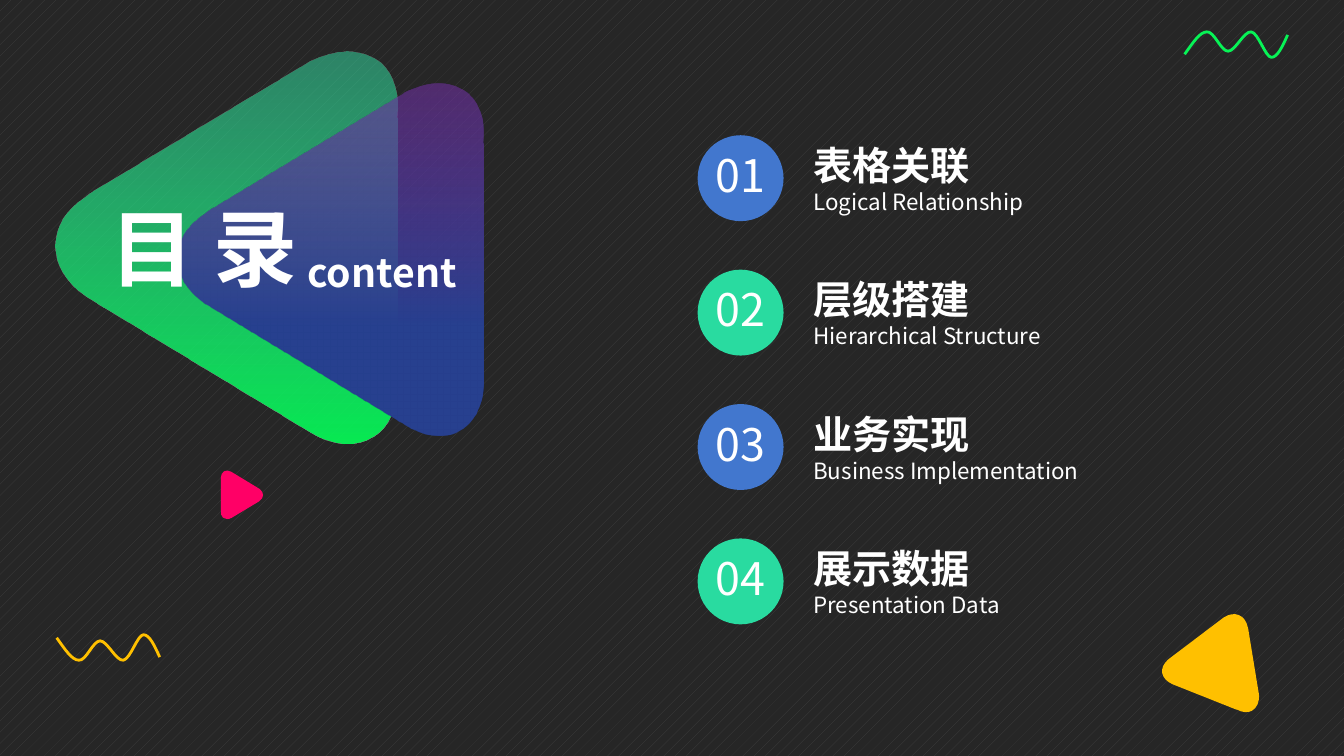
from lxml.etree import SubElement
from pptx import Presentation
from pptx.dml.color import RGBColor
from pptx.enum.dml import MSO_PATTERN
from pptx.enum.shapes import MSO_SHAPE
from pptx.enum.text import MSO_AUTO_SIZE, PP_ALIGN
from pptx.oxml.ns import qn
from pptx.util import Pt

COLORS = {
    "ground": "262626", "stripe": "404040", "white": "FFFFFF",
    "amber": "FFC000", "pink": "FF0066", "lime": "07F356",
    "leaf": "07F757", "teal": "36DEA6", "navy": "27408F", "purple": "7030A0",
    "blue": "4277CE", "mint": "29DBA0",
}
FONT = "Noto Sans CJK SC"

# Each step holds one point for a straight line or three for a Bézier curve.
TRIANGLE_SIZE = (388, 339)
TRIANGLE = [
    [(195, 0)],
    [(176, 0), (159, 11), (146, 29)],
    [(144, 32)], [(11, 252)], [(7, 259)],
    [(-3, 279), (-4, 299), (6, 314)],
    [(16, 330), (35, 338), (58, 339)],
    [(62, 339)], [(321, 339)], [(322, 338)],
    [(344, 341), (364, 335), (376, 322)],
    [(391, 304), (391, 278), (378, 252)],
    [(373, 244)], [(247, 34)], [(243, 29)],
    [(231, 11), (214, 0), (195, 0)],
]
WAVE_SIZE = (102, 25)
WAVE = [
    [(0, 22)],
    [(8, 11), (15, 0), (22, 0)],
    [(29, -1), (36, 19), (43, 19)],
    [(50, 19), (59, -1), (66, 0)],
    [(73, 1), (80, 25), (86, 25)],
    [(92, 25), (97, 14), (102, 3)],
]

SECTIONS = [
    ("表格关联", "Logical Relationship", "blue"),
    ("层级搭建", "Hierarchical Structure", "mint"),
    ("业务实现", "Business Implementation", "blue"),
    ("展示数据", "Presentation Data", "mint"),
]
FIRST_ROW_TOP, ROW_PITCH = 96.6, 96


def color(name):
    return RGBColor.from_string(COLORS[name])


def draw_outline(shape, outline, closed):
    """Give a freeform straight and curved steps in place of its own."""
    node = next(shape.element.iter(qn("a:path")))
    for child in list(node):
        node.remove(child)
    for i, step in enumerate(outline):
        tag = "a:cubicBezTo" if len(step) == 3 else "a:lnTo" if i else "a:moveTo"
        segment = SubElement(node, qn(tag))
        for x, y in step:
            SubElement(segment, qn("a:pt"), x=str(x), y=str(y))
    if closed:
        SubElement(node, qn("a:close"))


def add_text(para, text, size=16, bold=False, tint="white"):
    span = para.add_run()
    span.text = text
    span.font.size = Pt(size)
    span.font.bold = bold
    span.font.name = FONT
    span.font.color.rgb = color(tint)
    SubElement(span._r.get_or_add_rPr(), qn("a:ea"), typeface=FONT)


class ContentsSlide:
    def __init__(self, deck):
        self.page = deck.slides.add_slide(deck.slide_layouts[6])
        fill = self.page.background.fill
        fill.patterned()
        fill.pattern = MSO_PATTERN.PERCENT_10
        fill.fore_color.rgb = color("stripe")
        fill.back_color.rgb = color("ground")

    def freeform(self, outline, size, left, top, width, height, closed=True):
        builder = self.page.shapes.build_freeform(0, 0, scale=Pt(1))
        builder.add_line_segments([size], close=False)
        shape = builder.convert_to_shape()
        draw_outline(shape, outline, closed)
        shape.left, shape.top = Pt(left), Pt(top)
        shape.width, shape.height = Pt(width), Pt(height)
        shape.shadow.inherit = False
        return shape

    def triangle(self, left, top, width, height, rotation, tint=None, stops=()):
        """Stops are (position, colour, opacity percent), from left to right before rotation."""
        shape = self.freeform(TRIANGLE, TRIANGLE_SIZE, left, top, width, height)
        shape.rotation = rotation
        shape.line.fill.background()
        if tint:
            shape.fill.solid()
            shape.fill.fore_color.rgb = color(tint)
            return
        shape.fill.gradient()
        shape.fill.gradient_angle = 0
        for stop, (position, name, _) in zip(shape.fill.gradient_stops, stops):
            stop.position = position
            stop.color.rgb = color(name)
        for node, (_, _, opacity) in zip(shape.element.spPr.iter(qn("a:srgbClr")), stops):
            SubElement(node, qn("a:alpha"), val=str(opacity * 1000))

    def wave(self, left, top, tint, flipped=False):
        outline = WAVE
        if flipped:
            outline = [[(x, WAVE_SIZE[1] - y) for x, y in step] for step in WAVE]
        shape = self.freeform(outline, WAVE_SIZE, left, top, 73.6, 18.2, closed=False)
        shape.fill.background()
        shape.line.color.rgb = color(tint)
        shape.line.width = Pt(2)

    def circle(self, left, top, diameter, tint):
        shape = self.page.shapes.add_shape(
            MSO_SHAPE.OVAL, Pt(left), Pt(top), Pt(diameter), Pt(diameter))
        shape.shadow.inherit = False
        shape.rotation = 45
        shape.fill.solid()
        shape.fill.fore_color.rgb = color(tint)
        shape.line.fill.background()

    def text(self, left, top, width, height, lines, align=PP_ALIGN.LEFT, wrap=True):
        """Lines are (text, format keywords), one paragraph each."""
        box = self.page.shapes.add_textbox(Pt(left), Pt(top), Pt(width), Pt(height))
        frame = box.text_frame
        frame.word_wrap = wrap
        frame.auto_size = MSO_AUTO_SIZE.SHAPE_TO_FIT_TEXT
        for i, (text, style) in enumerate(lines):
            para = frame.add_paragraph() if i else frame.paragraphs[0]
            para.alignment = align
            add_text(para, text, **style)

    def section(self, number, top, title, subtitle, tint):
        self.text(573.9, top + 0.7, 211.7, 60.5,
                  [(title, {"size": 28, "bold": True}), (subtitle, {"size": 16})])
        self.circle(498.3, top, 61.4, tint)
        self.text(496.1, top + 5.4, 65.5, 46, [(f"{number:02}", {"size": 32})], PP_ALIGN.CENTER)


def main():
    deck = Presentation()
    deck.slide_width, deck.slide_height = Pt(960), Pt(540)
    slide = ContentsSlide(deck)

    slide.triangle(836.6, 437, 72.7, 63.4, 21.7, "amber")
    slide.triangle(155.5, 338.4, 34.6, 30.2, 90, "pink")
    slide.wave(846.2, 22.8, "lime")
    slide.wave(40.5, 453.4, "amber", flipped=True)
    slide.triangle(22.1, 54.1, 279.4, 244.1, 270,
                   stops=[(0, "leaf", 94), (1, "teal", 51)])
    slide.triangle(110.9, 75.6, 250.6, 218.9, 270,
                   stops=[(0.31, "navy", 100), (1, "purple", 58)])

    slide.text(68.4, 136.8, 154.1, 79.9, [("目 录", {"size": 60, "bold": True})],
               PP_ALIGN.CENTER, wrap=False)
    slide.text(211, 173.5, 123.8, 41, [("content", {"size": 28, "bold": True})],
               PP_ALIGN.CENTER, wrap=False)

    for i, (title, subtitle, tint) in enumerate(SECTIONS):
        slide.section(i + 1, FIRST_ROW_TOP + i * ROW_PITCH, title, subtitle, tint)

    deck.save("out.pptx")


if __name__ == "__main__":
    main()
